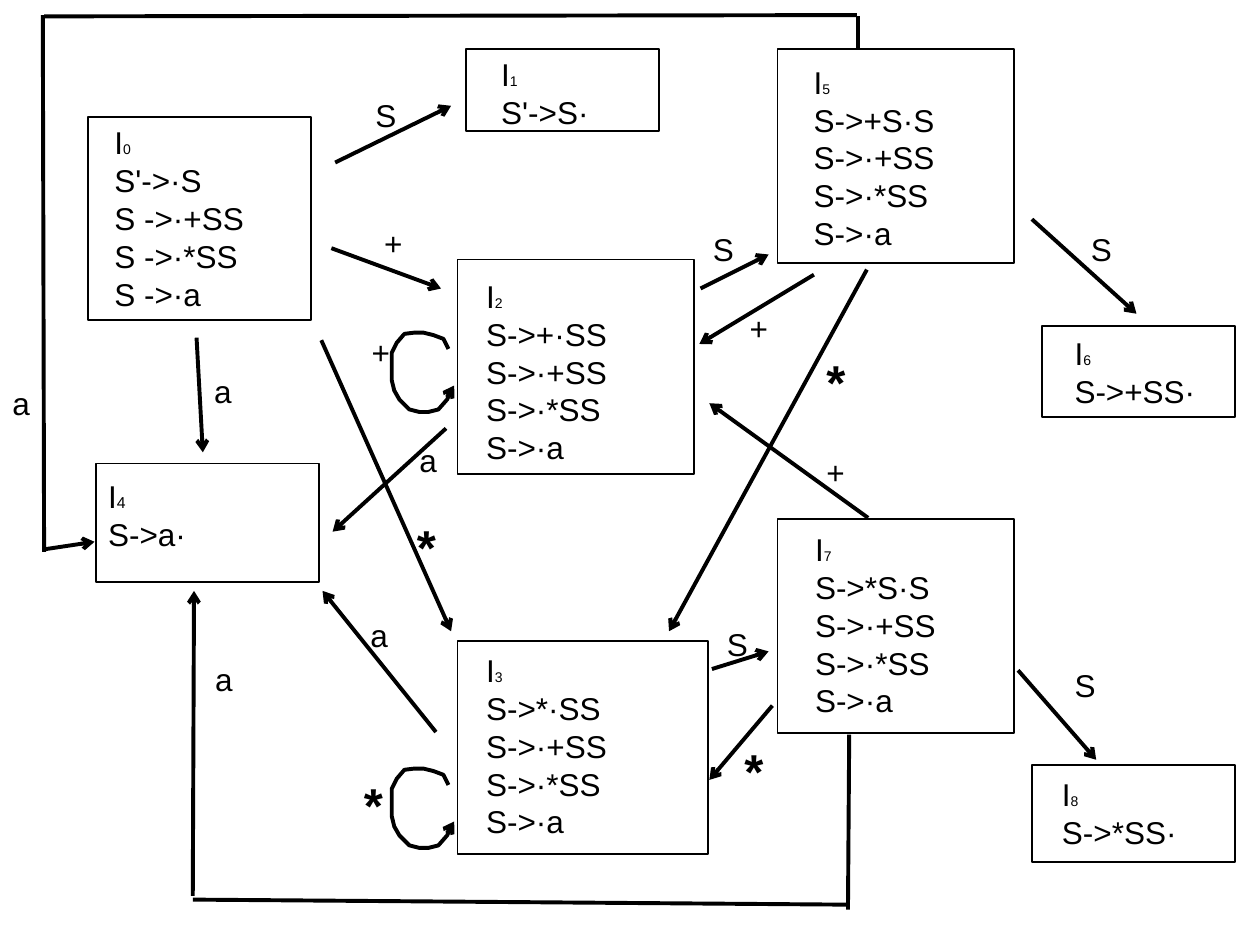
from dataclasses import dataclass

from lxml.etree import SubElement
from pptx import Presentation
from pptx.dml.color import RGBColor
from pptx.enum.shapes import MSO_CONNECTOR, MSO_SHAPE
from pptx.enum.text import MSO_AUTO_SIZE
from pptx.oxml.ns import qn
from pptx.util import Inches, Pt

BLACK = RGBColor(0x00, 0x00, 0x00)
WHITE = RGBColor(0xFF, 0xFF, 0xFF)
FONT = "Arial"
COLUMNS, ROWS = 100, 75

prs = Presentation()
prs.slide_width, prs.slide_height = Inches(10), Inches(7.5)
shapes = prs.slides.add_slide(prs.slide_layouts[6]).shapes


@dataclass
class State:
    """An LR item set; box and text are (column, row, columns, rows)."""
    number: int
    box: tuple[float, ...]
    text: tuple[float, ...]
    items: tuple[str, ...]
    index_size: int = 8


@dataclass
class Arrow:
    start: tuple[float, float]
    end: tuple[float, float]
    head: bool = True


@dataclass
class Label:
    symbol: str
    column: float
    row: float


EXPANSION = ("S->·+SS", "S->·*SS", "S->·a")
STATES = (
    State(0, (7, 9.3, 17.7, 16.1), (8.1, 9.3, 15.6, 16),
          ("S'->·S", "S ->·+SS", "S ->·*SS", "S ->·a")),
    State(4, (7.6, 36.8, 17.7, 9.4), (7.6, 37.4, 20.5, 7), ("S->a·",), 9),
    State(1, (37, 3.9, 15.3, 6.5), (38.8, 3.9, 10.4, 7), ("S'->S·",)),
    State(2, (36.3, 20.6, 18.8, 17), (37.6, 21.5, 14.8, 16),
          ("S->+·SS", *EXPANSION)),
    State(3, (36.3, 50.9, 19.9, 16.9), (37.6, 51.2, 14, 16),
          ("S->*·SS", *EXPANSION)),
    State(5, (61.7, 3.9, 18.8, 17), (63.6, 4.5, 12.4, 16),
          ("S->+S·S", *EXPANSION)),
    State(7, (61.7, 41.2, 18.8, 17), (63.7, 41.6, 14.8, 16),
          ("S->*S·S", *EXPANSION)),
    State(6, (82.7, 25.9, 15.3, 7.2), (84.3, 26, 13.7, 7), ("S->+SS·",)),
    State(8, (81.9, 60.7, 16.1, 7.7), (83.3, 61, 14.2, 7), ("S->*SS·",)),
)

ARROWS = (
    Arrow((26.6, 12.9), (35.8, 8.4)),
    Arrow((26.3, 19.7), (35, 22.9)),
    Arrow((15.6, 26.8), (16.1, 35.9)),
    Arrow((25.5, 27), (35.8, 50.1)),
    Arrow((35.4, 34), (26.4, 42.2)),
    Arrow((34.6, 58.1), (25.6, 46.9)),
    Arrow((55.6, 22.9), (61, 20.2)),
    Arrow((68.8, 21.4), (53.1, 50.1)),
    Arrow((64.6, 21.8), (55.5, 27.3)),
    Arrow((81.9, 17.4), (90.2, 24.9)),
    Arrow((80.8, 53.2), (87, 60.3)),
    Arrow((56.5, 53.1), (61, 51.7)),
    Arrow((61.3, 56), (56.3, 61.9)),
    Arrow((68.9, 41.1), (56.3, 32)),
    # I5 over the top to I4
    Arrow((68.1, 3.9), (68.1, 1.3), head=False),
    Arrow((68, 1.2), (3.5, 1.3), head=False),
    Arrow((3.4, 1.2), (3.5, 43.8), head=False),
    Arrow((3.5, 43.6), (7.5, 43)),
    # I7 under the bottom to I4
    Arrow((67.4, 58.3), (67.3, 72.2), head=False),
    Arrow((67.4, 71.8), (15.3, 71.4), head=False),
    Arrow((15.3, 71.1), (15.4, 46.9)),
)

# Self-loop outline, relative to its left top corner
LOOP = ((4.5, 1.3), (4.1, 0.5), (3.3, 0.2), (2.5, 0), (1.8, 0), (1, 0.1),
        (0.4, 0.8), (0, 1.6), (0, 2.3), (0, 3.1), (0, 3.8), (0.2, 4.6),
        (0.6, 5.3), (1.4, 6.1), (2.2, 6.3), (2.9, 6.3), (3.7, 6.1),
        (4.4, 5.3), (4.7, 4.6))
LOOP_LEFT = 31.1
LOOP_TOPS = (26.4, 61)

LABELS = (
    Label("S", 28.8, 7.1), Label("S", 56.7, 49.1), Label("S", 84.3, 52.4),
    Label("S", 85.6, 17.8), Label("S", 55.6, 17.8),
    Label("+", 29.5, 17.3), Label("+", 28.5, 25.9), Label("+", 58.5, 24),
    Label("+", 64.6, 35.5),
    Label("a", 32.3, 34.5), Label("a", 16, 29), Label("a", 28.4, 48.4),
    Label("a", 16.1, 51.9), Label("a", 0, 30),
    Label("*", 32.1, 40.5), Label("*", 27.9, 61), Label("*", 58.1, 58.3),
    Label("*", 64.6, 27.4),
)


def x(column: float) -> int:
    return round(prs.slide_width * column / COLUMNS)


def y(row: float) -> int:
    return round(prs.slide_height * row / ROWS)


def area(column: float, row: float, columns: float, rows: float) -> tuple[int, ...]:
    return x(column), y(row), x(columns), y(rows)


def set_font(p, size: int = 18, bold: bool = False) -> None:
    p.font.name, p.font.size, p.font.bold = FONT, Pt(size), bold
    p.font.color.rgb = BLACK


def add_text_frame(*place: float):
    tf = shapes.add_textbox(*area(*place)).text_frame
    tf.word_wrap = True
    tf.auto_size = MSO_AUTO_SIZE.SHAPE_TO_FIT_TEXT
    return tf


def draw_state(state: State) -> None:
    sp = shapes.add_shape(MSO_SHAPE.RECTANGLE, *area(*state.box))
    sp.shadow.inherit = False
    sp.fill.solid()
    sp.fill.fore_color.rgb = WHITE
    sp.line.color.rgb, sp.line.width = BLACK, Pt(1)

    tf = add_text_frame(*state.text)
    p = tf.paragraphs[0]
    set_font(p)
    p.add_run().text = "I"
    r = p.add_run()
    r.text, r.font.size = str(state.number), Pt(state.index_size)
    for item in state.items:
        p = tf.add_paragraph()
        p.text = item
        set_font(p)


def draw_arrow(arrow: Arrow) -> None:
    (x1, y1), (x2, y2) = arrow.start, arrow.end
    line = shapes.add_connector(MSO_CONNECTOR.STRAIGHT, x(x1), y(y1), x(x2), y(y2))
    line.line.color.rgb, line.line.width = BLACK, Pt(2.25)
    spPr = line._element.spPr
    if arrow.head:
        SubElement(spPr.find(qn("a:ln")), qn("a:tailEnd"), type="arrow")
    SubElement(spPr, qn("a:effectLst"))


def draw_loop(top: float) -> None:
    points = [(x(LOOP_LEFT + dx), y(top + dy)) for dx, dy in LOOP]
    builder = shapes.build_freeform(*points[0])
    builder.add_line_segments(points[1:], close=False)
    sp = builder.convert_to_shape()
    sp.shadow.inherit = False
    sp.fill.background()
    sp.line.color.rgb, sp.line.width = BLACK, Pt(2.25)
    end = LOOP_LEFT + LOOP[-1][0], top + LOOP[-1][1]
    draw_arrow(Arrow(end, (end[0] + 0.25, end[1] - 0.4)))


def draw_label(label: Label) -> None:
    star = label.symbol == "*"
    columns, rows = (5.5, 5.7) if star else (4.1, 4)
    p = add_text_frame(label.column, label.row, columns, rows).paragraphs[0]
    p.text = label.symbol
    set_font(p, 28 if star else 18, bold=star)


for state in STATES:
    draw_state(state)
for arrow in ARROWS:
    draw_arrow(arrow)
for top in LOOP_TOPS:
    draw_loop(top)
for label in LABELS:
    draw_label(label)

prs.save("out.pptx")
